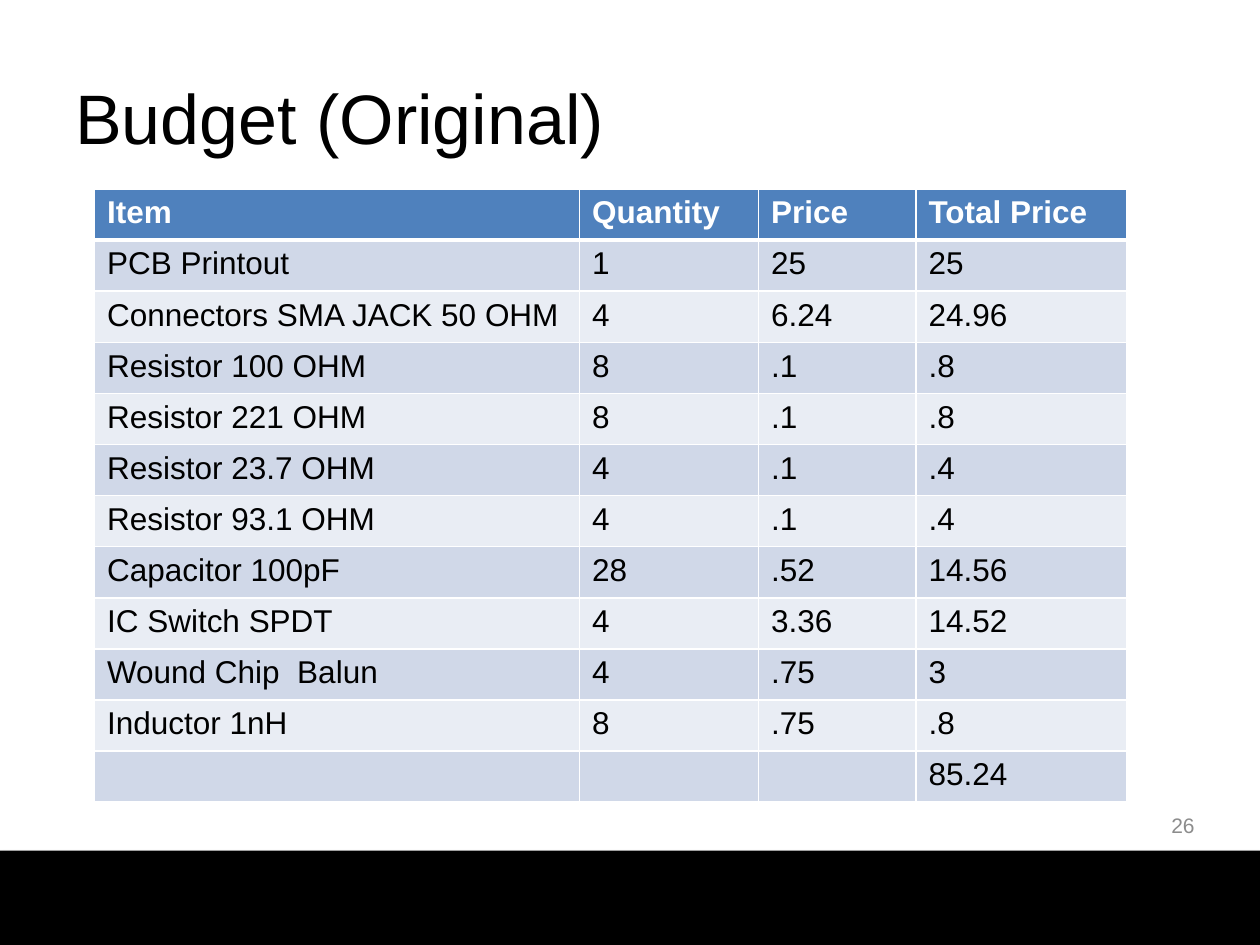
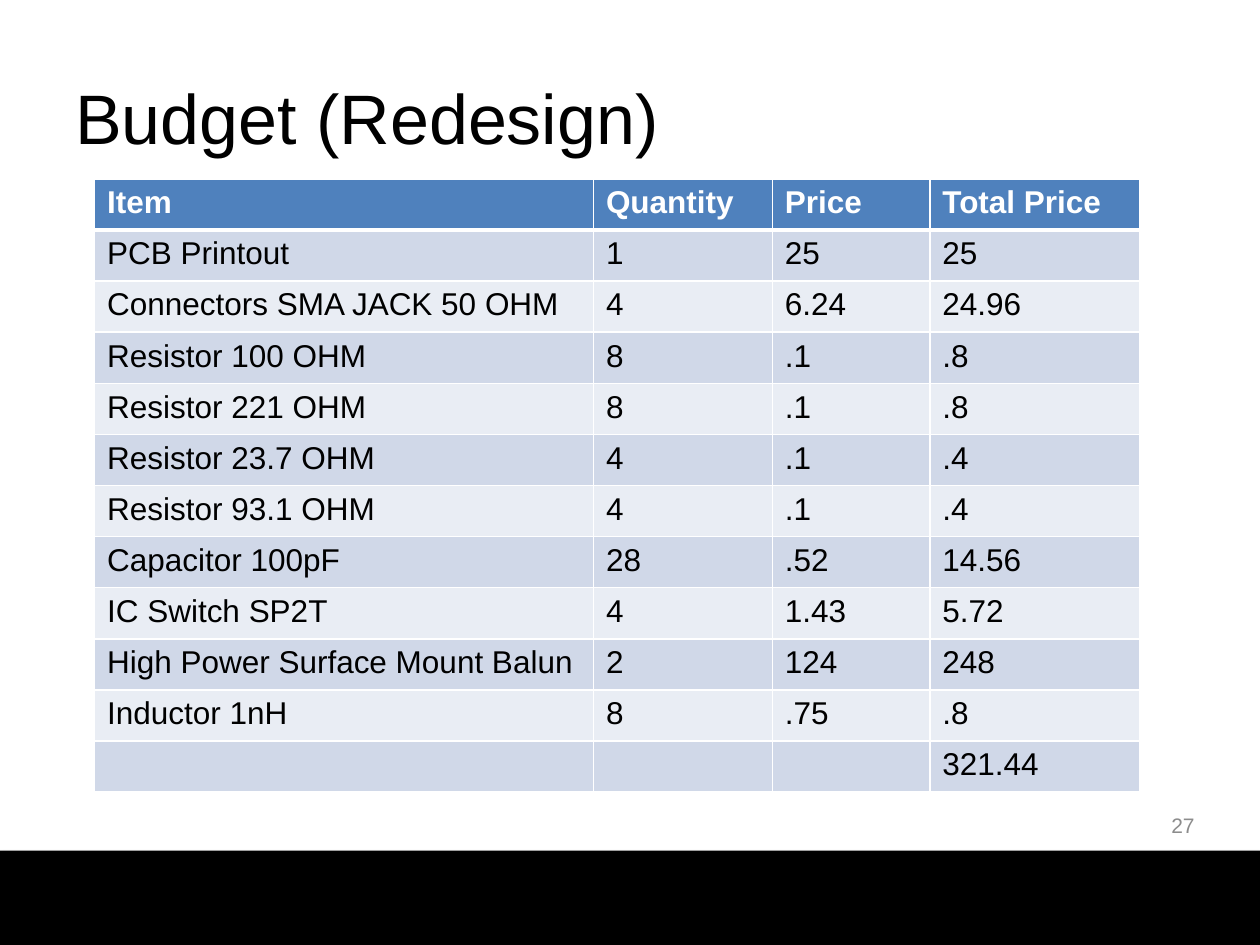
from lxml.etree import SubElement
from pptx import Presentation
from pptx.dml.color import RGBColor
from pptx.enum.shapes import MSO_SHAPE
from pptx.enum.text import MSO_ANCHOR, PP_ALIGN
from pptx.oxml import parse_xml
from pptx.oxml.ns import nsdecls, qn
from pptx.util import Inches, Pt

BLACK = RGBColor(0x00, 0x00, 0x00)
WHITE = RGBColor(0xFF, 0xFF, 0xFF)
GRAY = RGBColor(0x8C, 0x8C, 0x8C)
BLUE = RGBColor(0x4F, 0x81, 0xBD)
DARK = RGBColor(0xD0, 0xD8, 0xE8)
LIGHT = RGBColor(0xE9, 0xED, 0xF4)
FONT = "Arial"

HEAD = ("Item", "Quantity", "Price", "Total Price")
PARTS = [
    ("PCB Printout", "1", "25", "25"),
    ("Connectors SMA JACK 50 OHM", "4", "6.24", "24.96"),
    ("Resistor 100 OHM", "8", ".1", ".8"),
    ("Resistor 221 OHM", "8", ".1", ".8"),
    ("Resistor 23.7 OHM", "4", ".1", ".4"),
    ("Resistor 93.1 OHM", "4", ".1", ".4"),
    ("Capacitor 100pF", "28", ".52", "14.56"),
]
COIL = ("Inductor 1nH", "8", ".75", ".8")
BUDGETS = [
    ("Budget (Original)", 26, 1.5, 3.85, "85.24", [
        ("IC Switch SPDT", "4", "3.36", "14.52"),
        ("Wound Chip  Balun", "4", ".75", "3"),
    ]),
    ("Budget (Redesign)", 27, 1.42, 3.96, "321.44", [
        ("IC Switch SP2T", "4", "1.43", "5.72"),
        ("High Power Surface Mount Balun", "2", "124", "248"),
    ]),
]


class Deck:
    def __init__(self):
        self.show = Presentation()
        self.show.slide_width = Inches(10)
        self.show.slide_height = Inches(7.5)
        self.slide = None

    def page(self, title, number):
        self.slide = self.show.slides.add_slide(self.show.slide_layouts[6])
        self.band()
        self.text(title, (0.5, 0.3, 9, 1.25), 40, BLACK)
        self.text(str(number), (7.25, 6.35, 2.33, 0.4), 12, GRAY, PP_ALIGN.RIGHT)

    def band(self):
        band = self.slide.shapes.add_shape(
            MSO_SHAPE.RECTANGLE, Inches(0), Inches(6.75), Inches(10), Inches(0.75))
        band.fill.solid()
        band.fill.fore_color.rgb = BLACK
        band.line.fill.background()
        band._element.spPr.append(parse_xml(
            f'<a:effectLst {nsdecls("a")}><a:outerShdw blurRad="{Pt(3.1)}" '
            f'dist="{Pt(1.8)}" dir="5400000" rotWithShape="0"><a:srgbClr val="{BLACK}">'
            '<a:alpha val="35000"/></a:srgbClr></a:outerShdw></a:effectLst>'))

    def style(self, para, size, color, bold=False):
        para.font.name = FONT
        para.font.size = Pt(size)
        para.font.color.rgb = color
        para.font.bold = bold

    def text(self, words, place, size, color, align=PP_ALIGN.LEFT):
        frame = self.slide.shapes.add_textbox(*map(Inches, place)).text_frame
        frame.word_wrap = True
        frame.vertical_anchor = MSO_ANCHOR.MIDDLE
        para = frame.paragraphs[0]
        para.text = words
        para.alignment = align
        self.style(para, size, color)

    def edge(self, cell, side, width):
        line = SubElement(cell._tc.get_or_add_tcPr(), qn(f"a:ln{side}"), w=str(Pt(width)))
        fill = SubElement(line, qn("a:solidFill"))
        SubElement(fill, qn("a:srgbClr"), val=str(WHITE))

    def cell(self, cell, words, row):
        head = row == 0
        for side in "LRTB":
            thick = (row, side) in ((0, "B"), (1, "T"))
            self.edge(cell, side, 3 if thick else 1)
        cell.fill.solid()
        cell.fill.fore_color.rgb = BLUE if head else DARK if row % 2 else LIGHT
        para = cell.text_frame.paragraphs[0]
        if words:
            para.text = words
        self.style(para, 18, WHITE if head else BLACK, head)

    def table(self, rows, top, widths):
        grid = self.slide.shapes.add_table(
            len(rows), len(widths), Inches(0.75), Inches(top),
            Inches(sum(widths)), Inches(4.87)).table
        for column, width in zip(grid.columns, widths):
            column.width = Inches(width)
        for r, row in enumerate(rows):
            for c, words in enumerate(row):
                self.cell(grid.cell(r, c), words, r)


def main():
    deck = Deck()
    for title, number, top, width, total, extra in BUDGETS:
        deck.page(title, number)
        rows = [HEAD, *PARTS, *extra, COIL, ("", "", "", total)]
        deck.table(rows, top, (width, 1.42, 1.25, 1.67))
    deck.show.save("out.pptx")


if __name__ == "__main__":
    main()
